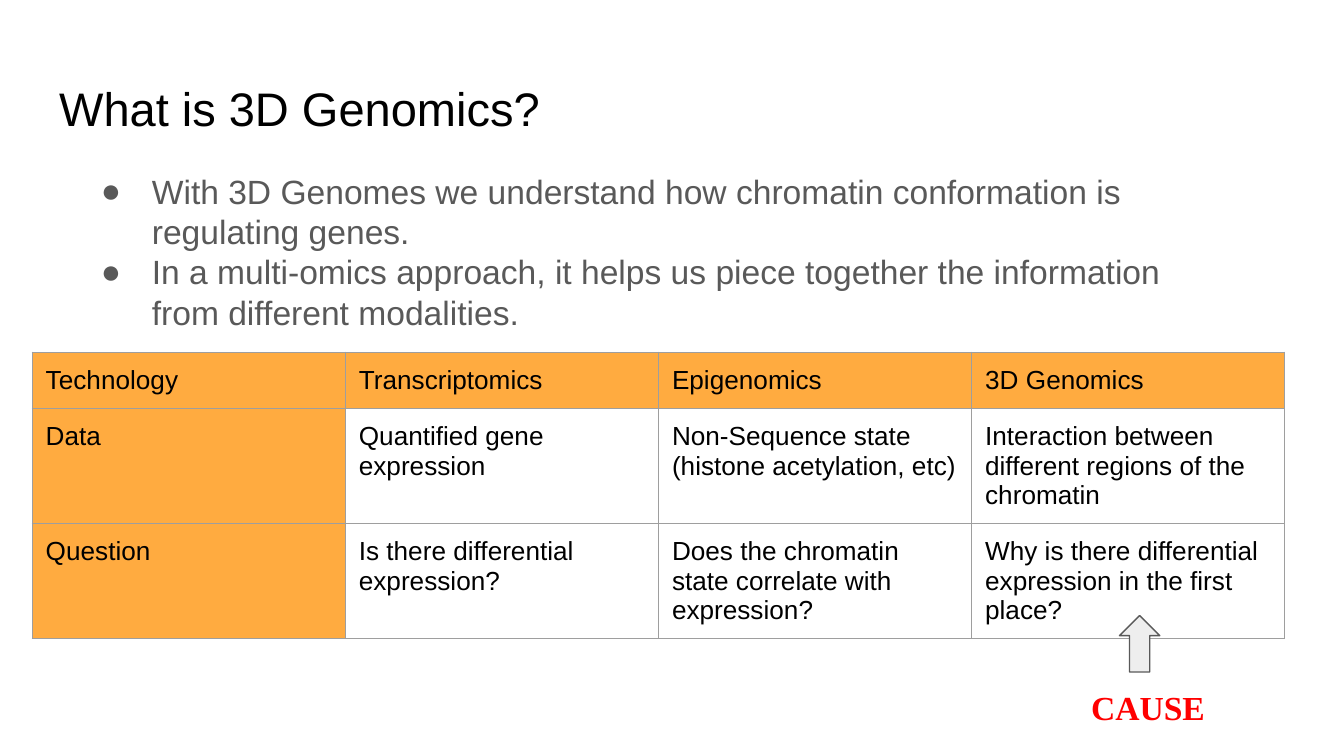
from pptx import Presentation, util as u
from pptx.dml.color import RGBColor
from pptx.enum import shapes, text
from pptx.oxml import parse_xml
from pptx.oxml.ns import nsdecls

BLACK = RGBColor(0x00, 0x00, 0x00)
GREY = RGBColor(0x59, 0x59, 0x59)
PALE = RGBColor(0xEE, 0xEE, 0xEE)
RULE = RGBColor(0x9E, 0x9E, 0x9E)
ORANGE = RGBColor(0xFF, 0xAB, 0x40)
RED = RGBColor(0xFF, 0x00, 0x00)

COLUMNS, ROWS = 100, 56.25
CELL = u.Inches(0.1)

POINTS = [
    "With 3D Genomes we understand how chromatin conformation is regulating genes.",
    "In a multi-omics approach, it helps us piece together the information "
    "from different modalities.",
]
COMPARISON = [
    ["Technology", "Transcriptomics", "Epigenomics", "3D Genomics"],
    ["Data", "Quantified gene expression",
     "Non-Sequence state (histone acetylation, etc)",
     "Interaction between different regions of the chromatin"],
    ["Question", "Is there differential expression?",
     "Does the chromatin state correlate with expression?",
     "Why is there differential expression in the first place?"],
]


def grid(*counts):
    """Turn counts of grid cells into lengths."""
    return [round(count * CELL) for count in counts]


class Deck:
    """Style and current slide; places are left, top, width, height in grid cells."""

    font = "Arial"
    inset = CELL
    hairline = u.Pt(0.75)

    def __init__(self):
        self.file = Presentation()
        self.file.slide_width, self.file.slide_height = grid(COLUMNS, ROWS)
        self.slide = self.file.slides.add_slide(self.file.slide_layouts[1])

    def place(self, shape, place):
        shape.left, shape.top, shape.width, shape.height = grid(*place)

    def format_text(self, frame, size, color, font=None, bold=False):
        for paragraph in frame.paragraphs:
            paragraph.alignment = text.PP_ALIGN.LEFT
            for run in paragraph.runs:
                run.font.name = font or self.font
                run.font.size = u.Pt(size)
                run.font.bold = bold
                run.font.color.rgb = color

    def set_frame(self, frame):
        frame.word_wrap = True
        frame.auto_size = text.MSO_AUTO_SIZE.NONE
        frame.vertical_anchor = text.MSO_ANCHOR.TOP
        frame.margin_left = frame.margin_right = self.inset
        frame.margin_top = frame.margin_bottom = self.inset

    def title(self, words, place):
        heading = self.slide.shapes.title
        self.place(heading, place)
        heading.text_frame.text = words
        self.set_frame(heading.text_frame)
        self.format_text(heading.text_frame, 25.2, BLACK)

    def bullets(self, points, place):
        body = self.slide.placeholders[1]
        self.place(body, place)
        frame = body.text_frame
        frame.text = "\n".join(points)
        self.set_frame(frame)
        self.format_text(frame, 18, GREY)
        for point in frame.paragraphs:
            point.line_spacing = 1.0
            point.space_before = u.Pt(0)
            properties = point._p.get_or_add_pPr()
            properties.set("marL", str(u.Inches(0.5)))
            properties.set("indent", str(-u.Inches(0.38)))
            for mark in (f'<a:buClr {nsdecls("a")}><a:srgbClr val="{GREY}"/></a:buClr>',
                         f'<a:buFont {nsdecls("a")} typeface="{self.font}"/>',
                         f'<a:buChar {nsdecls("a")} char="●"/>'):
                properties.append(parse_xml(mark))

    def border(self, cell):
        for side in "LRTB":
            cell._tc.get_or_add_tcPr().append(parse_xml(
                f'<a:ln{side} {nsdecls("a")} w="{self.hairline}"><a:solidFill>'
                f'<a:srgbClr val="{RULE}"/></a:solidFill></a:ln{side}>'))

    def table(self, content, left, top, column, heights):
        """Draw a table whose first row and first column are headers."""
        place = left, top, column * len(content[0]), sum(heights)
        table = self.slide.shapes.add_table(
            len(content), len(content[0]), *grid(*place)).table
        for row, height in zip(table.rows, grid(*heights)):
            row.height = height
        for r, line in enumerate(content):
            for c, words in enumerate(line):
                cell = table.cell(r, c)
                cell.text_frame.text = words
                self.format_text(cell.text_frame, 14, BLACK)
                cell.margin_left = cell.margin_right = self.inset
                cell.margin_top = cell.margin_bottom = self.inset
                self.border(cell)
                if r == 0 or c == 0:
                    cell.fill.solid()
                    cell.fill.fore_color.rgb = ORANGE
                else:
                    cell.fill.background()

    def up_arrow(self, place):
        arrow = self.slide.shapes.add_shape(
            shapes.MSO_SHAPE.UP_ARROW, *grid(*place))
        arrow.shadow.inherit = False
        arrow.fill.solid()
        arrow.fill.fore_color.rgb = PALE
        arrow.line.color.rgb = GREY
        arrow.line.width = self.hairline

    def label(self, words, place):
        frame = self.slide.shapes.add_textbox(*grid(*place)).text_frame
        frame.text = words
        self.set_frame(frame)
        self.format_text(frame, 18, RED, font="Times New Roman", bold=True)


def main():
    deck = Deck()
    deck.title("What is 3D Genomics?", (3.4, 4.9, 93.2, 6.3))
    deck.bullets(POINTS, (5.3, 11.7, 87.4, 36.4))
    deck.table(COMPARISON, left=2.4, top=26.2, column=23.3, heights=(4.2, 8.55, 8.55))
    deck.up_arrow((83.3, 45.8, 3, 4.2))
    deck.label("CAUSE", (80.2, 50.1, 11.6, 4.2))
    deck.file.save("out.pptx")


if __name__ == "__main__":
    main()
